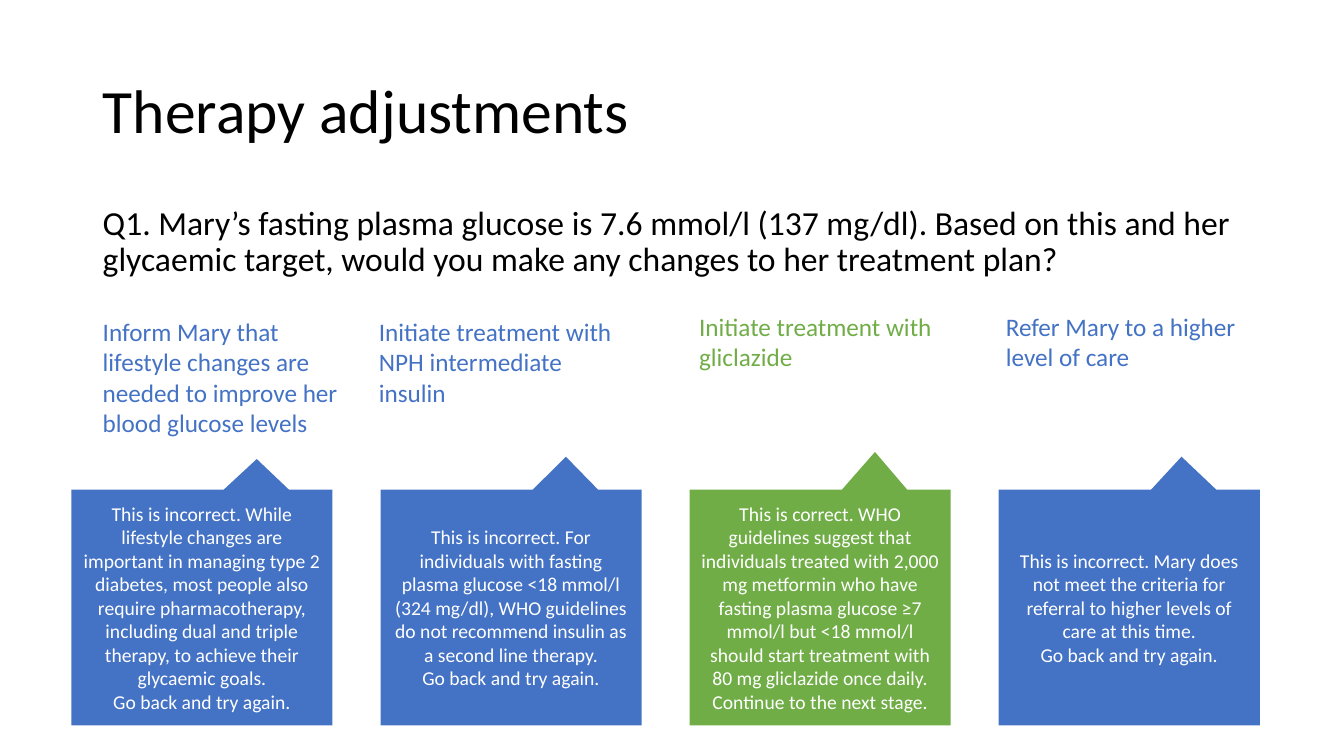
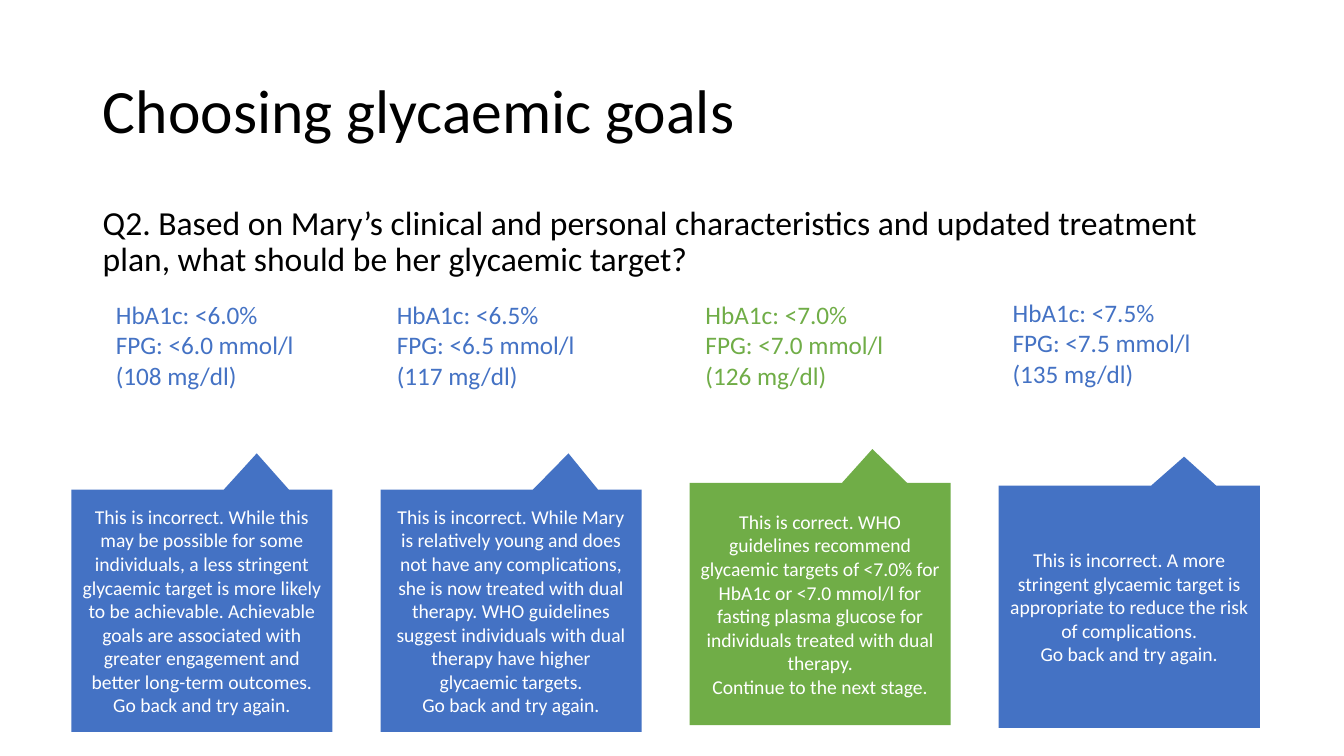
from dataclasses import dataclass

from pptx import Presentation
from pptx.dml.color import RGBColor
from pptx.enum.shapes import MSO_SHAPE as Shape
from pptx.enum.text import MSO_ANCHOR as Anchor, MSO_AUTO_SIZE as Fit, PP_ALIGN as Align
from pptx.util import Cm, Pt

FONT = "Calibri"
BLACK, WHITE, BLUE, GREEN = "000000", "FFFFFF", "4472C4", "70AD47"
LEFT, WIDE = 2.34, 29.21
START, STEP, CARD = 1.8, 7.79, 6.58
RETRY = "Go back and try again."
NEXT = "Continue to the next stage."


@dataclass
class Choice:
    text: str
    x: float
    y: float
    lines: int
    reply: str
    top: float
    tip: tuple[float, float]
    right: bool = False


@dataclass
class Quiz:
    title: str
    ask: str
    width: float
    height: float
    picks: list[Choice]


QUIZZES = [
    Quiz(
        "Therapy adjustments",
        "Q1. Mary’s fasting plasma glucose is 7.6 mmol/l (137 mg/dl). Based on this and her "
        "glycaemic target, would you make any changes to her treatment plan?",
        6.45, 5.94,
        [
            Choice("Inform Mary that lifestyle changes are needed to improve her blood glucose levels",
                   2.34, 7.85, 4,
                   "This is incorrect. While lifestyle changes are important in managing type 2 "
                   "diabetes, most people also require pharmacotherapy, including dual and triple "
                   "therapy, to achieve their glycaemic goals.",
                   12.34, (0.21, -0.63)),
            Choice("Initiate treatment with NPH intermediate insulin",
                   9.3, 7.85, 3,
                   "This is incorrect. For individuals with fasting plasma glucose <18 mmol/l "
                   "(324 mg/dl), WHO guidelines do not recommend insulin as a second line therapy.",
                   12.34, (0.21, -0.64)),
            Choice("Initiate treatment with gliclazide",
                   17.37, 7.72, 2,
                   "This is correct. WHO guidelines suggest that individuals treated with 2,000 mg "
                   "metformin who have fasting plasma glucose ≥7 mmol/l but <18 mmol/l should start "
                   "treatment with 80 mg gliclazide once daily.",
                   12.34, (0.21, -0.66), True),
            Choice("Refer Mary to a higher level of care",
                   25.1, 7.72, 2,
                   "This is incorrect. Mary does not meet the criteria for referral to higher "
                   "levels of care at this time.",
                   12.34, (0.2, -0.64)),
        ],
    ),
    Quiz(
        "Choosing glycaemic goals",
        "Q2. Based on Mary’s clinical and personal characteristics and updated treatment plan, "
        "what should be her glycaemic target?",
        5.44, 6.1,
        [
            Choice("HbA1c: <6.0%\nFPG: <6.0 mmol/l (108 mg/dl)",
                   2.67, 7.42, 3,
                   "This is incorrect. While this may be possible for some individuals, a less "
                   "stringent glycaemic target is more likely to be achievable. Achievable goals "
                   "are associated with greater engagement and better long-term outcomes.",
                   12.34, (0.21, -0.65)),
            Choice("HbA1c: <6.5%\nFPG: <6.5 mmol/l (117 mg/dl)",
                   9.75, 7.42, 3,
                   "This is incorrect. While Mary is relatively young and does not have any "
                   "complications, she is now treated with dual therapy. WHO guidelines suggest "
                   "individuals with dual therapy have higher glycaemic targets.",
                   12.34, (0.22, -0.65)),
            Choice("HbA1c: <7.0%\nFPG: <7.0 mmol/l (126 mg/dl)",
                   17.53, 7.42, 3,
                   "This is correct. WHO guidelines recommend glycaemic targets of <7.0% for HbA1c "
                   "or <7.0 mmol/l for fasting plasma glucose for individuals treated with dual "
                   "therapy.",
                   12.17, (0.2, -0.64), True),
            Choice("HbA1c: <7.5%\nFPG: <7.5 mmol/l (135 mg/dl)",
                   25.27, 7.37, 3,
                   "This is incorrect. A more stringent glycaemic target is appropriate to reduce "
                   "the risk of complications.",
                   12.24, (0.21, -0.62)),
        ],
    ),
]


def tint(code: str) -> RGBColor:
    return RGBColor.from_string(code)


def write(frame, text: str, size: int, hue: str, align=Align.LEFT,
          space: float = 1.0, anchor=Anchor.TOP, fit=Fit.NONE) -> None:
    frame.text = text
    frame.word_wrap = True
    frame.auto_size = fit
    frame.vertical_anchor = anchor
    for para in frame.paragraphs:
        para.alignment = align
        para.line_spacing = space
        para.font.name = FONT
        para.font.size = Pt(size)
        para.font.color.rgb = tint(hue)


def head(slide, quiz: Quiz) -> None:
    title = slide.shapes.title
    title.left, title.top = Cm(LEFT), Cm(1.02)
    title.width, title.height = Cm(WIDE), Cm(3.68)
    write(title.text_frame, quiz.title, 44, BLACK, space=0.9, anchor=Anchor.MIDDLE)
    ask = slide.shapes.add_textbox(Cm(LEFT), Cm(5.08), Cm(WIDE), Cm(2.3))
    write(ask.text_frame, quiz.ask, 24, BLACK, space=0.9)


def label(slide, pick: Choice, width: float, hue: str) -> None:
    box = slide.shapes.add_textbox(Cm(pick.x), Cm(pick.y), Cm(width),
                                   Cm(0.76 * pick.lines + 0.28))
    write(box.text_frame, pick.text, 18, hue, fit=Fit.SHAPE_TO_FIT_TEXT)


def reply(slide, pick: Choice, x: float, height: float, hue: str) -> None:
    card = slide.shapes.add_shape(Shape.RECTANGULAR_CALLOUT, Cm(x), Cm(pick.top),
                                  Cm(CARD), Cm(height))
    card.adjustments[0], card.adjustments[1] = pick.tip
    card.shadow.inherit = False
    card.fill.solid()
    card.fill.fore_color.rgb = tint(hue)
    card.line.fill.background()
    close = NEXT if pick.right else RETRY
    write(card.text_frame, f"{pick.reply}\n{close}", 14, WHITE,
          align=Align.CENTER, anchor=Anchor.MIDDLE)


def build(deck, quiz: Quiz) -> None:
    slide = deck.slides.add_slide(deck.slide_layouts[5])
    head(slide, quiz)
    for i, pick in enumerate(quiz.picks):
        hue = GREEN if pick.right else BLUE
        label(slide, pick, quiz.width, hue)
        reply(slide, pick, START + i * STEP, quiz.height, hue)


def main() -> None:
    deck = Presentation()
    deck.slide_width, deck.slide_height = Cm(33.87), Cm(19.05)
    for quiz in QUIZZES:
        build(deck, quiz)
    deck.save("out.pptx")


if __name__ == "__main__":
    main()
